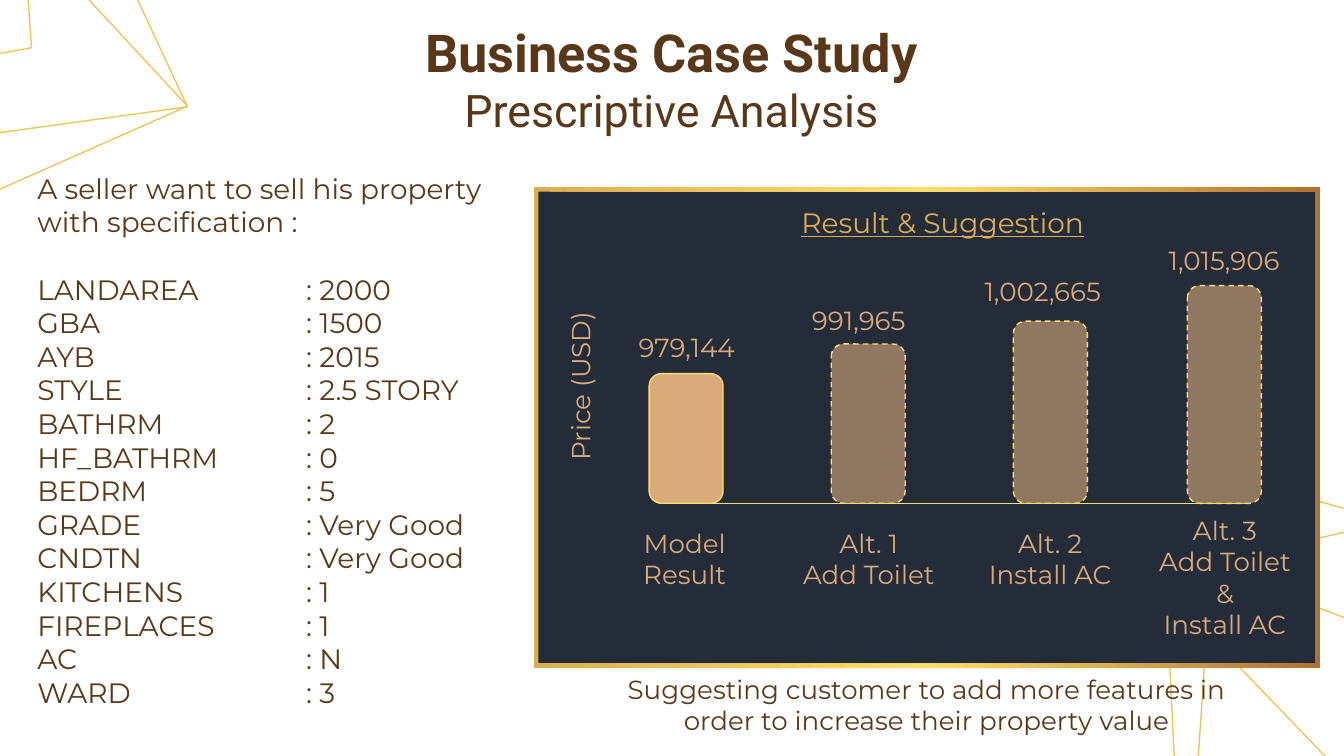
from copy import deepcopy
from dataclasses import dataclass
from typing import NamedTuple

from lxml.etree import SubElement
from pptx import Presentation
from pptx.dml.color import RGBColor
from pptx.enum.dml import MSO_LINE
from pptx.enum.shapes import MSO_CONNECTOR, MSO_SHAPE
from pptx.enum.text import MSO_ANCHOR, MSO_AUTO_SIZE, PP_ALIGN
from pptx.oxml.ns import qn
from pptx.util import Emu, Inches, Pt

COLORS = {
    "brown": "583819",
    "navy": "242C39",
    "tan": "D9AA7A",
    "gold": "DCAE52",
    "yellow": "FFDD6B",
    "bronze": "AF7132",
    "facet": "EBC55E",
}
COLUMNS, ROWS = 100, 56.25
SLIDE_WIDTH, SLIDE_HEIGHT = Inches(10), Inches(5.625)


class Box(NamedTuple):
    column: float
    row: float
    columns: float
    rows: float


@dataclass
class Bar:
    center: float
    top: float
    value: str
    value_center: tuple[float, float]
    caption: list[str]
    caption_center: tuple[float, float]
    suggested: bool = True


BASELINE = 37.45
BAR_WIDTH = 5.5
BARS = [
    Bar(51.05, 27.8, "979,144", (51.1, 25.8), ["Model", "Result"], (50.95, 41.55), False),
    Bar(64.6, 25.6, "991,965", (63.9, 23.8), ["Alt. 1", "Add Toilet"], (64.65, 41.55)),
    Bar(78.15, 23.9, "1,002,665", (77.6, 21.65), ["Alt. 2", "Install AC"], (78.15, 41.55)),
    Bar(91.1, 21.25, "1,015,906", (91.1, 19.35),
        ["Alt. 3", "Add Toilet &", "Install AC"], (91.15, 42.95)),
]
SPECIFICATION = {
    "LANDAREA": "2000", "GBA": "1500", "AYB": "2015", "STYLE": "2.5 STORY",
    "BATHRM": "2", "HF_BATHRM": "0", "BEDRM": "5", "GRADE": "Very Good",
    "CNDTN": "Very Good", "KITCHENS": "1", "FIREPLACES": "1", "AC": "N", "WARD": "3",
}
FACETS = [
    [(90.1, 42.2), (88.3, 69.3), (121.5, 64.7), (115.5, 51.8)],
    [(-29.8, -15.4), (-28.8, -1.1), (-8.6, 5.55), (2.35, 3.55), (1.85, -3.35), (-10, -20.5)],
    [(-17.6, -14.6), (-23.4, -5.9), (-2.2, 15.05), (13.95, 7.9), (-3.6, -11.05)],
    [(-17.6, -14.6), (-19.5, 12.55), (13.95, 7.95), (7.95, -4.95)],
    [(86.7, 42.7), (87.4, 56.8), (107, 63.85), (117.85, 62.15), (117.55, 55.35), (106.3, 38.15)],
    [(93.05, 35.85), (87.15, 44.35), (107.4, 65.45), (123.55, 58.8), (106.7, 39.75)],
]


def across(columns: float) -> Emu:
    return Emu(round(SLIDE_WIDTH * columns / COLUMNS))


def down(rows: float) -> Emu:
    return Emu(round(SLIDE_HEIGHT * rows / ROWS))


def place(box: Box) -> tuple[Emu, Emu, Emu, Emu]:
    return across(box.column), down(box.row), across(box.columns), down(box.rows)


def centered(center: tuple[float, float], columns: float, rows: float) -> Box:
    return Box(center[0] - columns / 2, center[1] - rows / 2, columns, rows)


def rgb(name: str) -> RGBColor:
    return RGBColor.from_string(COLORS[name])


def format_font(font, size: float, color: str, name: str = "Montserrat") -> None:
    font.name = name
    font.size = Pt(size)
    font.color.rgb = rgb(color)


def prepare_frame(text_frame, anchor) -> None:
    text_frame.word_wrap = True
    text_frame.auto_size = MSO_AUTO_SIZE.NONE
    text_frame.vertical_anchor = anchor
    text_frame.margin_left = text_frame.margin_right = Inches(0.1)
    text_frame.margin_top = text_frame.margin_bottom = Inches(0.1)


def add_text(slide, box: Box, lines: list[str], size: float = 14, color: str = "tan",
             align=PP_ALIGN.CENTER, anchor=MSO_ANCHOR.MIDDLE):
    shape = slide.shapes.add_textbox(*place(box))
    prepare_frame(shape.text_frame, anchor)
    shape.text_frame.text = "\n".join(lines)
    for paragraph in shape.text_frame.paragraphs:
        paragraph.alignment = align
        for run in paragraph.runs:
            format_font(run.font, size, color)
    return shape


def add_block(slide, kind, box: Box, color: str):
    shape = slide.shapes.add_shape(kind, *place(box))
    shape.shadow.inherit = False
    shape.fill.solid()
    shape.fill.fore_color.rgb = rgb(color)
    shape.line.fill.background()
    return shape


def add_facet(slide, points: list[tuple[float, float]]) -> None:
    corners = [(across(column), down(row)) for column, row in points]
    builder = slide.shapes.build_freeform(*corners[0])
    builder.add_line_segments(corners[1:], close=True)
    facet = builder.convert_to_shape()
    facet.shadow.inherit = False
    facet.fill.background()
    facet.line.color.rgb = rgb("facet")
    facet.line.width = Pt(0.75)


def add_panel(slide) -> None:
    add_block(slide, MSO_SHAPE.RECTANGLE, Box(39.9, 14.1, 58.1, 35.6), "navy")
    frame = add_block(slide, MSO_SHAPE.FRAME, Box(39.7, 13.9, 58.5, 35.8), "gold")
    frame.adjustments[0] = 0.01
    frame.fill.gradient()
    frame.fill.gradient_angle = 0
    stop_list = frame.element.spPr.find(".//" + qn("a:gsLst"))
    stop_list.append(deepcopy(stop_list[-1]))
    for index, color in enumerate(("gold", "yellow", "bronze")):
        stop = frame.fill.gradient_stops[index]
        stop.position = index / 2
        stop.color.rgb = rgb(color)


def add_bar(slide, bar: Bar) -> None:
    box = Box(bar.center - BAR_WIDTH / 2, bar.top, BAR_WIDTH, BASELINE - bar.top)
    shape = add_block(slide, MSO_SHAPE.ROUNDED_RECTANGLE, box, "tan")
    shape.line.color.rgb = rgb("yellow")
    shape.line.width = Pt(0.75)
    if bar.suggested:
        shape.line.dash_style = MSO_LINE.DASH
        fill_color = shape.element.spPr.find(qn("a:solidFill")).find(qn("a:srgbClr"))
        SubElement(fill_color, qn("a:alpha")).set("val", "60000")
    add_text(slide, centered(bar.value_center, 11, 3.6), [bar.value])
    add_text(slide, centered(bar.caption_center, 12.6, 6), bar.caption)


def add_baseline(slide) -> None:
    line = slide.shapes.add_connector(
        MSO_CONNECTOR.STRAIGHT, across(51.1), down(BASELINE), across(93), down(BASELINE))
    line.line.color.rgb = rgb("yellow")
    line.line.width = Pt(0.75)
    SubElement(line.element.spPr, qn("a:effectLst"))


def add_title(slide) -> None:
    title = slide.shapes.title
    title.left, title.top, title.width, title.height = place(Box(21.8, 3.5, 56.3, 4.7))
    prepare_frame(title.text_frame, MSO_ANCHOR.MIDDLE)
    paragraph = title.text_frame.paragraphs[0]
    paragraph.text = "Business Case Study\vPrescriptive Analysis"
    paragraph.alignment = PP_ALIGN.CENTER
    for run, size, bold in zip(paragraph.runs, (28, 24), (True, False)):
        format_font(run.font, size, "brown", "Roboto")
        run.font.bold = bold


def add_specification(slide) -> None:
    lines = ["A seller want to sell his property with specification :"]
    lines += [f"{name}\t: {value}" for name, value in SPECIFICATION.items()]
    shape = add_text(slide, Box(1.8, 11.75, 38.4, 40.1), lines, 15, "brown",
                     PP_ALIGN.LEFT, MSO_ANCHOR.TOP)
    rows = shape.text_frame.paragraphs[1:]
    for paragraph in rows:
        tabs = SubElement(paragraph._p.get_or_add_pPr(), qn("a:tabLst"))
        tab = SubElement(tabs, qn("a:tab"))
        tab.set("pos", str(Inches(2)))
        tab.set("algn", "l")
    rows[0].space_before = Pt(18)


def main() -> None:
    presentation = Presentation()
    presentation.slide_width, presentation.slide_height = SLIDE_WIDTH, SLIDE_HEIGHT
    slide = presentation.slides.add_slide(presentation.slide_layouts[5])
    for points in FACETS:
        add_facet(slide, points)
    add_panel(slide)
    add_title(slide)
    add_specification(slide)
    add_baseline(slide)
    for bar in BARS:
        add_bar(slide, bar)
    axis = add_text(slide, Box(34.95, 26.9, 16.4, 3.6), ["Price (USD)"])
    axis.rotation = 270
    add_text(slide, Box(44.2, 50.65, 49.5, 3.6), [
        "Suggesting customer to add more features in order to increase their property value",
    ], color="brown")
    heading = add_text(slide, Box(58.35, 14.3, 23.6, 4.8), ["Result & Suggestion"], 15,
                       "gold", anchor=MSO_ANCHOR.TOP)
    heading.text_frame.paragraphs[0].runs[0].font.underline = True
    presentation.save("out.pptx")


if __name__ == "__main__":
    main()
